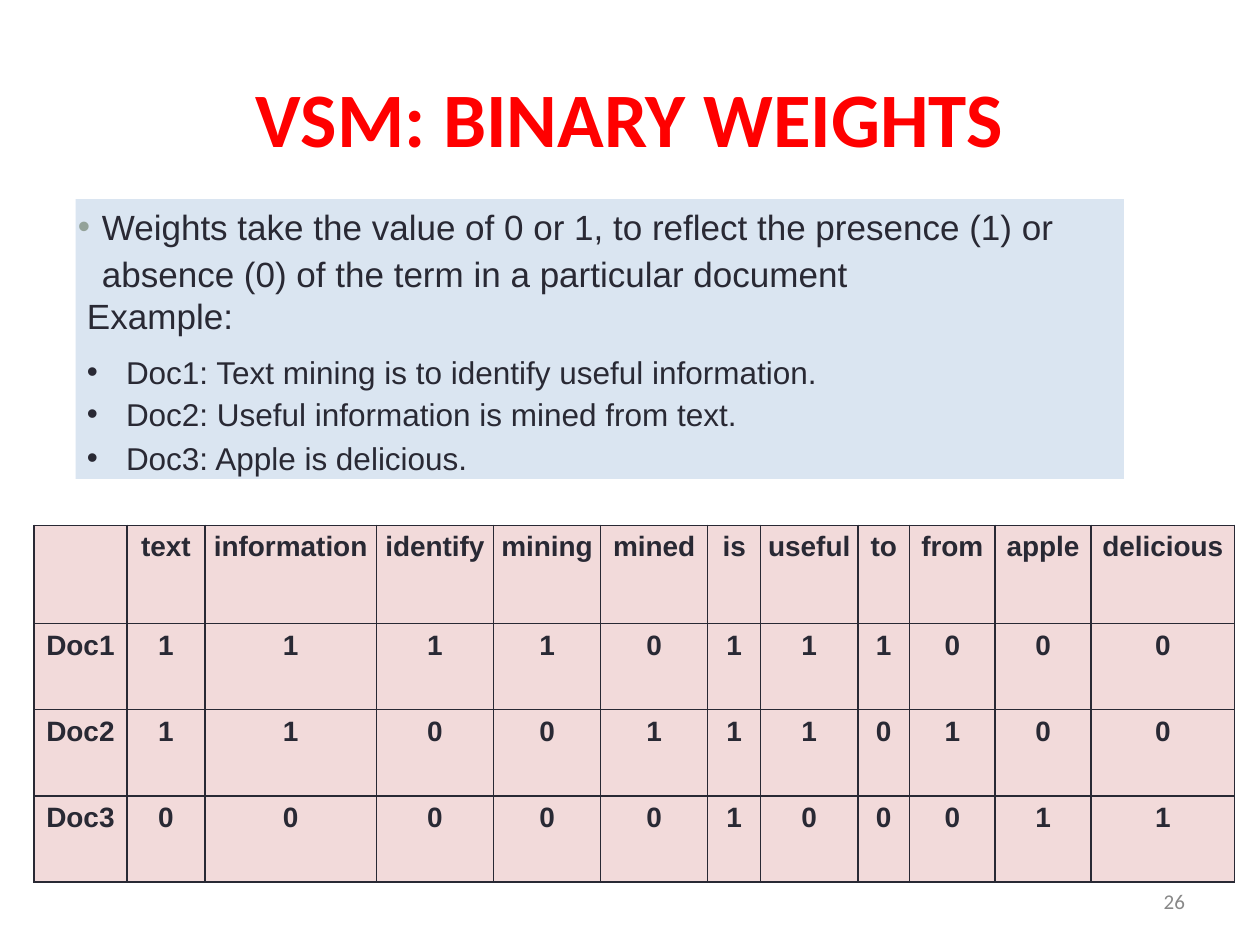
"""Build the slide on binary weights in the vector space model."""
from dataclasses import dataclass

from lxml.etree import SubElement
from pptx import Presentation
from pptx.dml.color import RGBColor as Color
from pptx.enum.shapes import MSO_SHAPE as Shape
from pptx.enum.text import MSO_ANCHOR as Anchor, PP_ALIGN as Align
from pptx.oxml.ns import qn
from pptx.util import Pt


@dataclass(frozen=True)
class Theme:
    ink: str = "292934"
    title: str = "FF0000"
    panel: str = "DAE5F1"
    cell: str = "F2DADA"
    accent: str = "93A299"
    muted: str = "888888"
    heading_font: str = "Calibri"
    body_font: str = "Arial"
    title_size: float = 44
    lead_size: float = 20
    item_size: float = 18
    table_size: float = 16
    number_size: float = 12
    border: float = 1


@dataclass(frozen=True)
class Line:
    text: str
    size: float
    left: float
    hanging: float = 0
    bullet: str = ""
    before: float = 0
    spacing: float = 1
    level: int = 0


class SlideBuilder:
    def __init__(self, slide, theme):
        self.slide = slide
        self.theme = theme

    def add_span(self, para, text, size, font, color, bold=False):
        span = para.add_run()
        span.text = text
        span.font.size = Pt(size)
        span.font.name = font
        span.font.bold = bold
        span.font.color.rgb = Color.from_string(color)

    def label(self, text, area, size, color, align, bold=False):
        box = self.slide.shapes.add_textbox(*map(Pt, area))
        frame = box.text_frame
        frame.word_wrap = True
        frame.vertical_anchor = Anchor.MIDDLE
        para = frame.paragraphs[0]
        para.alignment = align
        self.add_span(para, text, size, self.theme.heading_font, color, bold)

    def set_bullet(self, para, color):
        props = para._p.get_or_add_pPr()
        tint = SubElement(props, qn("a:buClr"))
        SubElement(tint, qn("a:srgbClr"), val=color)
        SubElement(props, qn("a:buFont"), typeface=self.theme.body_font)
        SubElement(props, qn("a:buChar"), char="•")

    def panel(self, area, lines):
        box = self.slide.shapes.add_shape(Shape.RECTANGLE, *map(Pt, area))
        box.shadow.inherit = False
        box.fill.solid()
        box.fill.fore_color.rgb = Color.from_string(self.theme.panel)
        box.line.fill.background()
        frame = box.text_frame
        frame.word_wrap = True
        frame.vertical_anchor = Anchor.TOP
        frame.margin_left = frame.margin_right = frame.margin_bottom = 0
        frame.margin_top = Pt(1)
        for index, line in enumerate(lines):
            para = frame.add_paragraph() if index else frame.paragraphs[0]
            props = para._p.get_or_add_pPr()
            props.set("marL", str(Pt(line.left)))
            props.set("indent", str(Pt(-line.hanging)))
            if line.bullet:
                self.set_bullet(para, line.bullet)
            para.level = line.level
            para.alignment = Align.LEFT
            para.line_spacing = line.spacing
            if line.before:
                para.space_before = Pt(line.before)
            self.add_span(para, line.text, line.size, self.theme.body_font, self.theme.ink)

    def set_borders(self, cell):
        props = cell._tc.get_or_add_tcPr()
        for side in ("a:lnL", "a:lnR", "a:lnT", "a:lnB"):
            edge = SubElement(props, qn(side), w=str(Pt(self.theme.border)))
            fill = SubElement(edge, qn("a:solidFill"))
            SubElement(fill, qn("a:srgbClr"), val=self.theme.ink)

    def table(self, left, top, widths, heights, rows):
        area = (left, top, sum(widths), sum(heights))
        grid = self.slide.shapes.add_table(len(rows), len(widths), *map(Pt, area)).table
        grid.first_row = grid.horz_banding = False
        for column, width in zip(grid.columns, widths):
            column.width = Pt(width)
        for row, height, values in zip(grid.rows, heights, rows):
            row.height = Pt(height)
            for cell, value in zip(row.cells, values):
                self.set_borders(cell)
                cell.fill.solid()
                cell.fill.fore_color.rgb = Color.from_string(self.theme.cell)
                cell.margin_left = cell.margin_right = cell.margin_bottom = 0
                cell.margin_top = Pt(3.6)
                para = cell.text_frame.paragraphs[0]
                para.alignment = Align.CENTER
                if value:
                    self.add_span(para, value, self.theme.table_size,
                                  self.theme.body_font, self.theme.ink, bold=True)


def main():
    theme = Theme()
    deck = Presentation()
    deck.slide_width, deck.slide_height = Pt(720), Pt(540)
    page = SlideBuilder(deck.slides.add_slide(deck.slide_layouts[6]), theme)

    page.label("VSM: BINARY WEIGHTS", (36, 21.6, 648, 90), theme.title_size,
               theme.title, Align.CENTER, bold=True)

    documents = (
        ("Doc1: Text mining is to identify useful information.", 9),
        ("Doc2: Useful information is mined from text.", 2.4),
        ("Doc3: Apple is delicious.", 3.4),
    )
    lead = ("Weights take the value of 0 or 1, to reflect the presence (1) or "
            "absence (0) of the term in a particular document")
    page.panel((43.2, 113.8, 599, 159.8), [
        Line(lead, theme.lead_size, 15, 13.7, theme.accent, spacing=1.12),
        Line("Example:", theme.lead_size, 6.5),
        *(Line(text, theme.item_size, 28.8, 22.3, theme.ink, before, level=1)
          for text, before in documents),
    ])

    terms = ("text information identify mining mined is useful to from apple "
             "delicious").split()
    weights = {"Doc1": "11110111000", "Doc2": "11001110100", "Doc3": "00000100011"}
    widths = (53.2, 44.6, 97.9, 67, 61.2, 61.2, 30.3, 55.5, 29.6, 48.9, 54.8, 82.1)
    page.table(19.4, 300.2, widths, (56.2, 49.2, 49.2, 49.2),
               [["", *terms], *([name, *bits] for name, bits in weights.items())])

    page.label("26", (516.2, 500.4, 168, 28.8), theme.number_size, theme.muted,
               Align.RIGHT)
    deck.save("out.pptx")


if __name__ == "__main__":
    main()
